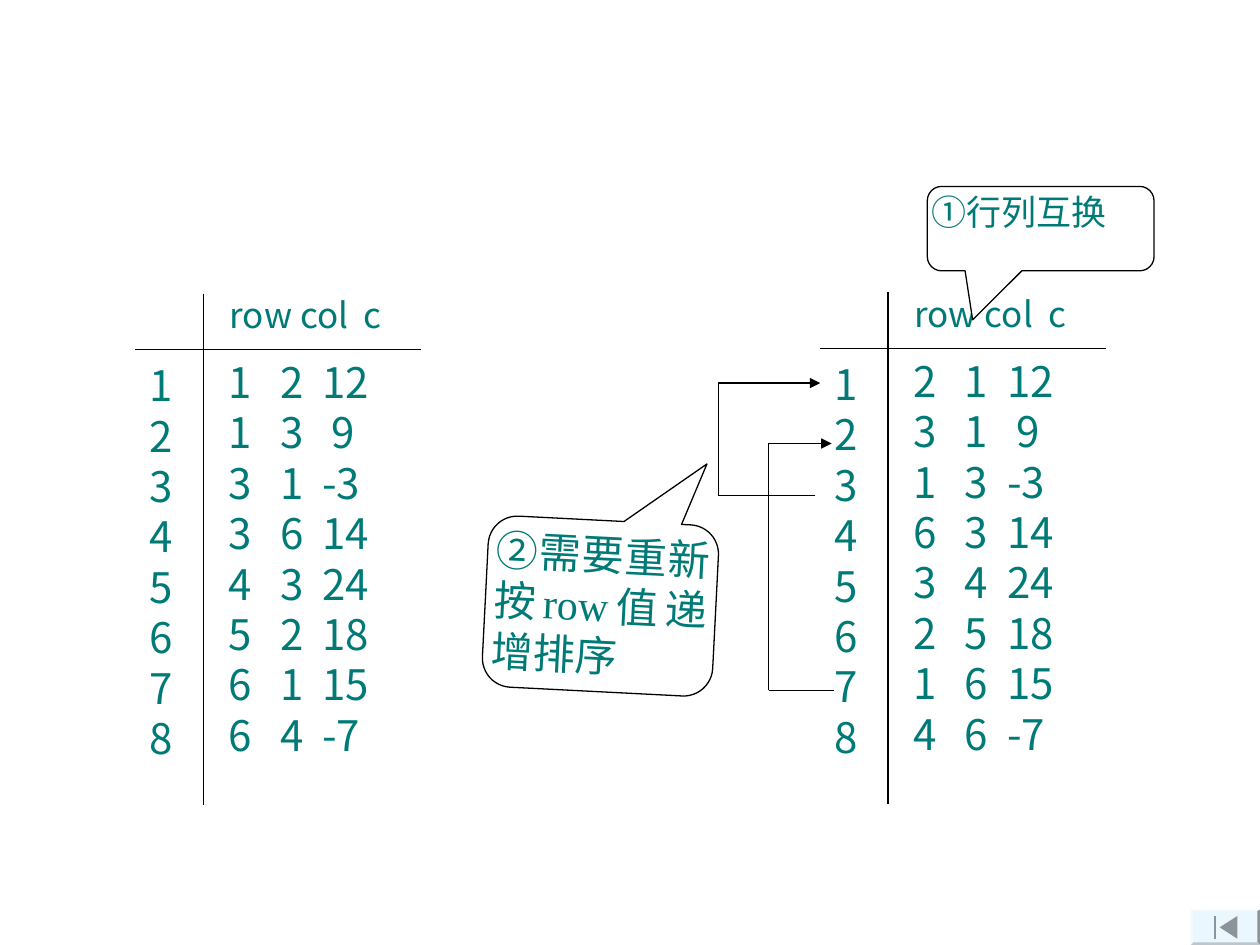
from dataclasses import dataclass
from typing import NamedTuple

import pptx
import pptx.dml.color
import pptx.enum.shapes
import pptx.enum.text
import pptx.oxml
import pptx.oxml.ns
import pptx.util

SHAPES = pptx.enum.shapes.MSO_SHAPE
COLUMNS, ROWS = 100, 75


@dataclass(frozen=True)
class Theme:
    ink: str = "007A77"
    paper: str = "FFFFFF"
    rule: str = "000000"
    button: str = "EBF7FF"
    button_light: str = "F3FAFF"
    button_shade: str = "BCC6CC"
    button_dark: str = "8D9499"
    font: str = "Noto Sans CJK SC"
    serif: str = "Times New Roman"
    small: int = 20
    large: int = 24
    rule_width: float = 0.75


class Point(NamedTuple):
    x: float
    y: float


class Area(NamedTuple):
    left: float
    top: float
    width: float
    height: float


class Triples(NamedTuple):
    origin: Point
    rows: list[str]


class Callout(NamedTuple):
    area: Area
    adjustments: tuple[float, ...]
    number: str
    message: str
    size: int
    rotation: float = 0
    flipped: bool = False


class Route(NamedTuple):
    start: Point
    turn: float
    end: Point


class Facet(NamedTuple):
    corners: list[Point]
    color: str


THEME = Theme()
HEADER = "row col\tc"
HEADER_STOPS = (10.65,)
BODY_STOPS = (4.1, 7.45)
INDEXES = [str(number) for number in range(1, 9)]

TABLES = [
    Triples(Point(10.74, 23.3), ["1\t2\t12", "1\t3\t 9", "3\t1\t-3", "3\t6\t14",
                                 "4\t3\t24", "5\t2\t18", "6\t1\t15", "6\t4\t-7"]),
    Triples(Point(65.08, 23.2), ["2\t1\t12", "3\t1\t 9", "1\t3\t-3", "6\t3\t14",
                                 "3\t4\t24", "2\t5\t18", "1\t6\t15", "4\t6\t-7"]),
]
ROUTES = [
    Route(Point(66.2, 54.8), 61, Point(66, 35.2)),
    Route(Point(64.7, 39.3), 57, Point(65.1, 30.4)),
]
CALLOUTS = [
    Callout(Area(38.5, 41.3, 18.3, 13.6), (-0.43, -0.86, 0.17), "②",
            "需要重新按row值递增排序", THEME.large, 182.9, True),
    Callout(Area(73.6, 14.8, 18, 6.7), (-0.3, 1.08, 0.17), "①",
            "行列互换", THEME.small),
]


def color(value: str) -> pptx.dml.color.RGBColor:
    return pptx.dml.color.RGBColor.from_string(value)


def across(columns: float) -> int:
    return pptx.util.Inches(10 * columns / COLUMNS)


def down(rows: float) -> int:
    return pptx.util.Inches(7.5 * rows / ROWS)


def place(area: Area) -> tuple[int, int, int, int]:
    return across(area.left), down(area.top), across(area.width), down(area.height)


def fill(shape, value: str) -> None:
    shape.shadow.inherit = False
    shape.fill.solid()
    shape.fill.fore_color.rgb = color(value)


def style_span(span, size: int, font: str) -> None:
    span.font.size = pptx.util.Pt(size)
    span.font.name = font
    span.font.color.rgb = color(THEME.ink)
    east_asian = pptx.oxml.parse_xml(
        f'<a:ea {pptx.oxml.ns.nsdecls("a")} typeface="{THEME.font}"/>')
    span.font._element.find(pptx.oxml.ns.qn("a:latin")).addnext(east_asian)


def prepare_frame(frame) -> None:
    frame.word_wrap = True
    frame.vertical_anchor = pptx.enum.text.MSO_ANCHOR.TOP
    frame.margin_left = frame.margin_right = 0
    frame.margin_top = frame.margin_bottom = 0


def style_para(para, stops: tuple[float, ...] = ()) -> None:
    para.alignment = pptx.enum.text.PP_ALIGN.JUSTIFY
    if stops:
        tabs = "".join(f'<a:tab pos="{across(stop)}" algn="l"/>' for stop in stops)
        para._p.get_or_add_pPr().append(pptx.oxml.parse_xml(
            f'<a:tabLst {pptx.oxml.ns.nsdecls("a")}>{tabs}</a:tabLst>'))


def draw_text(page, area: Area, lines: list[str], size: int,
              stops: tuple[float, ...] = ()) -> None:
    box = page.shapes.add_textbox(*place(area))
    fill(box, THEME.paper)
    prepare_frame(box.text_frame)
    box.text_frame.text = "\n".join(lines)
    for para in box.text_frame.paragraphs:
        style_para(para, stops)
        for span in para.runs:
            style_span(span, size, THEME.font)


def draw_line(page, start: Point, end: Point, arrow: bool = False) -> None:
    line = page.shapes.add_connector(
        pptx.enum.shapes.MSO_CONNECTOR.STRAIGHT,
        across(start.x), down(start.y), across(end.x), down(end.y))
    line.line.color.rgb = color(THEME.rule)
    line.line.width = pptx.util.Pt(THEME.rule_width)
    names = pptx.oxml.ns.nsdecls("a")
    if arrow:
        line.line._get_or_add_ln().append(
            pptx.oxml.parse_xml(f'<a:tailEnd {names} type="triangle"/>'))
    line._element.spPr.append(pptx.oxml.parse_xml(f"<a:effectLst {names}/>"))


def draw_triples(page, table: Triples) -> None:
    x, y = table.origin
    draw_text(page, Area(x + 7.5, y, 15.6, 4.4), [HEADER], THEME.small, HEADER_STOPS)
    draw_line(page, Point(x, y + 4.45), Point(x + 22.7, y + 4.45))
    draw_line(page, Point(x + 5.4, y), Point(x + 5.4, y + 40.6))
    draw_text(page, Area(x + 7.4, y + 5, 15.7, 35.2), table.rows, THEME.large, BODY_STOPS)
    draw_text(page, Area(x + 1.13, y + 5.25, 3.2, 35.2), INDEXES, THEME.large)


def draw_route(page, route: Route) -> None:
    lower, upper = Point(route.turn, route.start.y), Point(route.turn, route.end.y)
    draw_line(page, route.start, lower)
    draw_line(page, lower, upper)
    draw_line(page, upper, route.end, arrow=True)


def draw_callout(page, callout: Callout) -> None:
    box = page.shapes.add_shape(SHAPES.ROUNDED_RECTANGULAR_CALLOUT, *place(callout.area))
    fill(box, THEME.paper)
    box.line.color.rgb = color(THEME.rule)
    box.line.width = pptx.util.Pt(THEME.rule_width)
    for index, value in enumerate(callout.adjustments):
        box.adjustments[index] = value
    box.rotation = callout.rotation
    if callout.flipped:
        box._element.spPr.xfrm.set("flipV", "1")
    prepare_frame(box.text_frame)
    para = box.text_frame.paragraphs[0]
    style_para(para)
    for text, font in ((callout.number, THEME.font), (callout.message, THEME.serif)):
        span = para.add_run()
        span.text = text
        style_span(span, callout.size, font)


def rectangle(left: float, top: float, right: float, bottom: float) -> list[Point]:
    return [Point(left, top), Point(right, top), Point(right, bottom), Point(left, bottom)]


def draw_button(page) -> None:
    outer = rectangle(94.5, 72.2, COLUMNS, ROWS)
    inner = rectangle(94.7, 72.3, 99.8, 74.8)
    facets = [Facet(outer, THEME.button)]
    bevels = (THEME.button_light, THEME.button_dark, THEME.button_shade, THEME.button_light)
    for side, shade in enumerate(bevels):
        following = (side + 1) % 4
        facets.append(Facet(
            [outer[side], outer[following], inner[following], inner[side]], shade))
    arrow = [Point(96.8, 73.6), Point(98.2, 72.7), Point(98.2, 74.5)]
    facets.append(Facet(arrow, THEME.button_dark))
    facets.append(Facet(rectangle(96.35, 72.7, 96.5, 74.5), THEME.button_dark))
    for facet in facets:
        points = [(across(corner.x), down(corner.y)) for corner in facet.corners]
        builder = page.shapes.build_freeform(*points[0])
        builder.add_line_segments(points[1:], close=True)
        piece = builder.convert_to_shape()
        fill(piece, facet.color)
        piece.line.fill.background()


def main() -> None:
    deck = pptx.Presentation()
    deck.slide_width, deck.slide_height = across(COLUMNS), down(ROWS)
    page = deck.slides.add_slide(deck.slide_layouts[6])
    draw_button(page)
    for table in TABLES:
        draw_triples(page, table)
    for route in ROUTES:
        draw_route(page, route)
    for callout in CALLOUTS:
        draw_callout(page, callout)
    deck.save("out.pptx")


if __name__ == "__main__":
    main()
